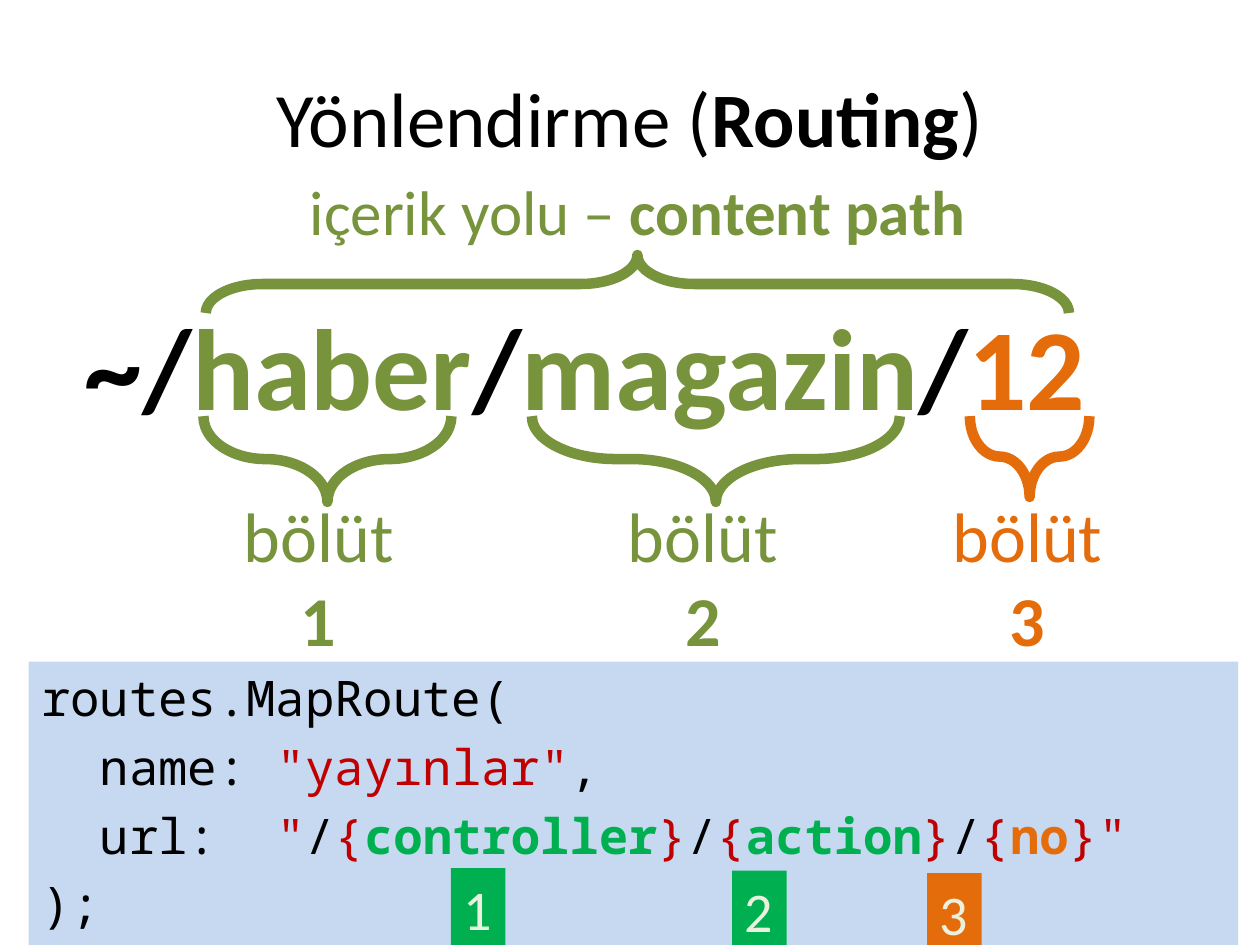
from pptx import Presentation
from pptx.dml.color import RGBColor
from pptx.enum.shapes import MSO_SHAPE
from pptx.enum.text import MSO_ANCHOR, PP_ALIGN
from pptx.util import Cm, Pt

RECT, BRACE = MSO_SHAPE.RECTANGLE, MSO_SHAPE.RIGHT_BRACE
TOP, MIDDLE = MSO_ANCHOR.TOP, MSO_ANCHOR.MIDDLE
LEFT, CENTER = PP_ALIGN.LEFT, PP_ALIGN.CENTER

BLACK, OLIVE, ORANGE = "000000", "77933C", "E46C0A"
RED, GREEN, PALE_BLUE, IVORY = "C00000", "00B050", "C6D9F1", "EBF1DE"


def color(hex_code):
    return RGBColor.from_string(hex_code)


def write(shape, lines, *, size, font="Calibri", ink=BLACK, align=CENTER,
          anchor=TOP, before=0, wrap=True):
    """Each line is a list of runs: (text, bold, colour), the last two optional."""
    frame = shape.text_frame
    frame.word_wrap = wrap
    frame.vertical_anchor = anchor
    for number, line in enumerate(lines):
        paragraph = frame.add_paragraph() if number else frame.paragraphs[0]
        paragraph.alignment = align
        paragraph.space_before = Pt(before)
        for text, bold, run_ink in ((*run, False, ink)[:3] if len(run) == 1
                                    else (*run, ink)[:3] for run in line):
            run = paragraph.add_run()
            run.text = text
            run.font.name = font
            run.font.size = Pt(size)
            run.font.bold = bold
            run.font.color.rgb = color(run_ink)


def text_box(slide, box, lines, **text_format):
    write(slide.shapes.add_textbox(*map(Cm, box)), lines, **text_format)


def filled_box(slide, box, fill, lines, **text_format):
    panel = slide.shapes.add_shape(RECT, *map(Cm, box))
    panel.shadow.inherit = False
    panel.fill.solid()
    panel.fill.fore_color.rgb = color(fill)
    panel.line.fill.background()
    write(panel, lines, **text_format)


def brace(slide, box, ink, rotation):
    """Lay a brace along the width of the box as it appears after rotation."""
    left, top, span, depth = box
    shift = (span - depth) / 2
    curve = slide.shapes.add_shape(
        BRACE, Cm(left + shift), Cm(top - shift), Cm(depth), Cm(span))
    curve.rotation = rotation
    curve.adjustments[0], curve.adjustments[1] = 0.98, 0.5
    curve.shadow.inherit = False
    curve.fill.background()
    curve.line.color.rgb = color(ink)
    curve.line.width = Pt(6)


def content_path(slide, box):
    left, top, width, height = box
    text_box(slide, box, [[
        ("~/", True), ("haber", True, OLIVE), ("/", True),
        ("magazin", True, OLIVE), ("/", True), ("12", True, ORANGE),
    ]], size=66, before=13)
    brace(slide, (left + 3.54, top - 0.68, 17.4, 1.17), OLIVE, 270)
    text_box(slide, (left + 3.78, top - 2.47, 16.92, 1.8),
             [[("içerik yolu – ",), ("content path", True)]], size=36, ink=OLIVE)


def segments(slide, box):
    left, top, _, height = box
    # number, colour, brace offset, span and depth, label offset and width
    parts = [("1", OLIVE, 1.08, 5.0, 1.73, 0, 6.81),
             ("2", OLIVE, 7.7, 7.42, 1.73, 7.57, 7.16),
             ("3", ORANGE, 16.53, 2.41, 1.63, 12.4, 10.59)]
    for number, ink, brace_x, span, depth, label_x, label_width in parts:
        brace(slide, (left + brace_x, top, span, depth), ink, 90)
        text_box(slide, (left + label_x, top + 1.41, label_width, height - 1.41),
                 [[("bölüt",)], [(number, True)]], size=40, ink=ink)


def parameter(name, ink):
    return [("{", False, RED), (name, True, ink), ("}", False, RED)]


def route_code(slide, box):
    left, top, _, _ = box
    url = [("  url:  ",), ('"', False, RED), ("/",),
           *parameter("controller", GREEN), ("/",),
           *parameter("action", GREEN), ("/",),
           *parameter("no", ORANGE), ('"', False, RED)]
    filled_box(slide, box, PALE_BLUE, [
        [("routes.MapRoute(",)],
        [("  name: ",), ('"yayınlar"', False, RED), (",",)],
        url,
        [(");",)],
    ], size=28, font="Noto Sans Mono", align=LEFT, before=5.6)
    # Number tags under the parameters
    tags = [(8.51, GREEN), (14.18, GREEN), (18.11, ORANGE)]
    for index, (tag_x, fill) in enumerate(tags):
        tag_box = (left + tag_x, top + 4.16 + 0.05 * index, 1.1, 1.63)
        filled_box(slide, tag_box, fill, [[(str(index + 1),)]],
                   size=32, ink=IVORY, align=LEFT, wrap=False)


def routing_slide(deck):
    slide = deck.slides.add_slide(deck.slide_layouts[6])
    # Title
    text_box(slide, (1.27, 0.76, 22.86, 3.18),
             [[("Yönlendirme (",), ("Routing", True), (")",)]],
             size=44, anchor=MIDDLE)
    # Address with its overall brace, then its three segments
    content_path(slide, (0.61, 5.82, 22.38, 3))
    segments(slide, (3.02, 8.39, 22.99, 5.09))
    # Route definition
    route_code(slide, (0.58, 13.34, 24.38, 5.77))


deck = Presentation()
deck.slide_width, deck.slide_height = Cm(25.4), Cm(19.05)
routing_slide(deck)
deck.save("out.pptx")
